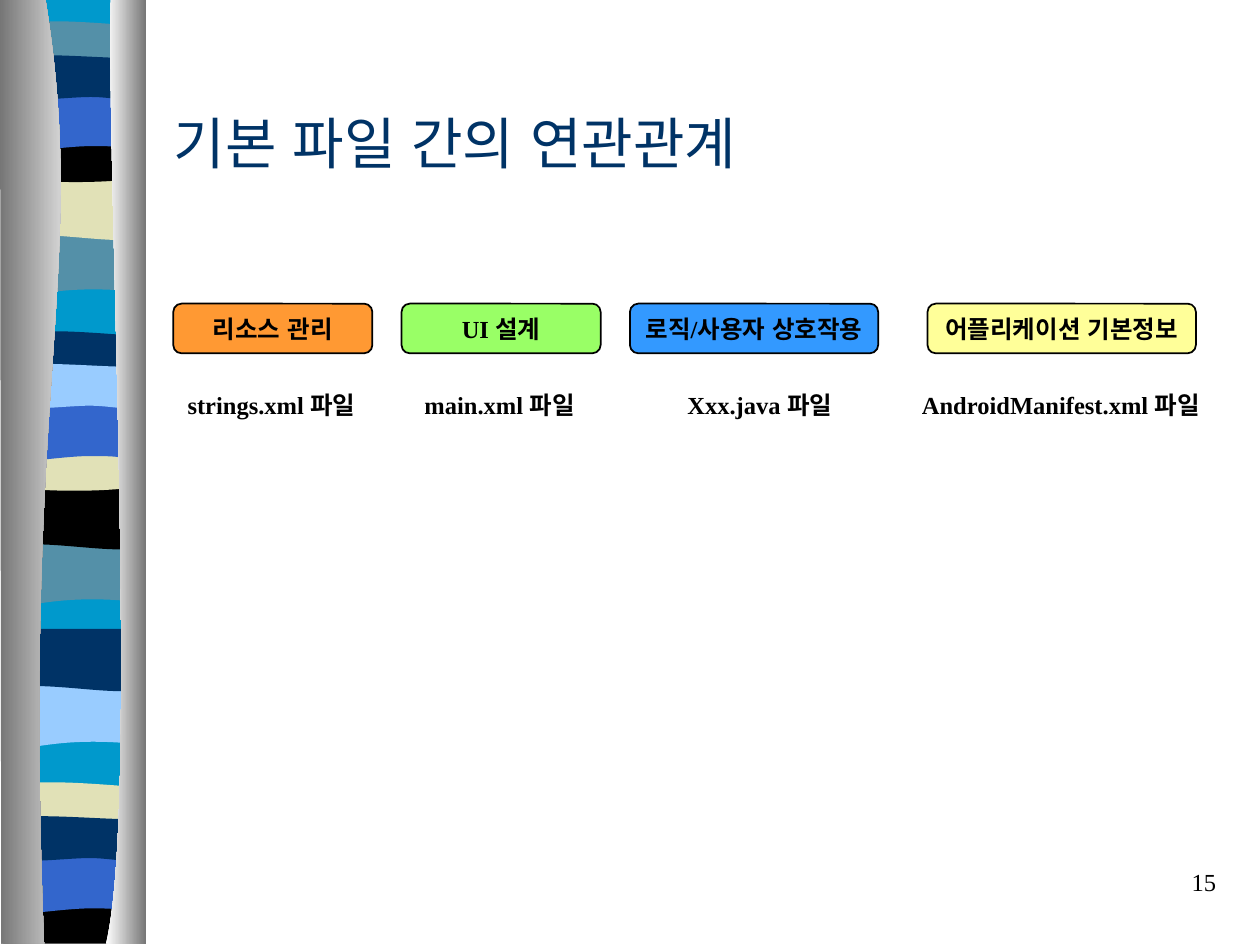
from pptx import Presentation
from pptx import util as u
from pptx.dml.color import RGBColor
from pptx.enum import lang, shapes, text
from pptx.oxml.ns import qn
from lxml import etree

COLUMNS, ROWS = 100, 75
LATIN, KOREAN = "Times New Roman", "Noto Sans CJK KR"
NAVY, TEAL, SKY, BLUE = "003366", "5490A8", "99CCFF", "3366CC"
SAND, BLACK, CYAN, GREY, WHITE = "E1E1B7", "000000", "0099CC", "767676", "FFFFFF"

# Outlines in grid units: a pair is a corner, six numbers are a Bezier curve
WAVES = {
    "sheet": [(10.8, 0), (10.8, 74.8), (0, 74.8), (0, 0)],
    "dip": [(10.8, 0), (10.8, 4.7), (3.3, 3.9, 1.8, 5.5, 0, 4.7), (0, 0)],
    "crest": [(10.8, 0), (10.8, 4.7), (9, 5.5, 3.3, 4.1, 0, 4.7), (0, 0)],
    "thin": [(10.8, 0.5), (10.8, 2.9), (9, 3.3, 1.8, 3.3, 0, 2.9), (0, 0.5),
             (0.6, 0, 2.3, 0.1, 4.1, 0.1), (5.9, 0.1, 9.4, 0.4, 10.8, 0.5)],
    "bowl": [(10.8, 0), (10.8, 3.2), (9, 3.8, 1.8, 3.8, 0, 3.2), (0, 0),
             (6.6, 0.5, 8.5, 0, 10.8, 0)],
    "arch": [(10.8, 0), (10.8, 4.7), (9.1, 4.2, 8.4, 4.2, 6.6, 4.2),
             (4.8, 4.2, 1.6, 4.7, 0, 4.7), (0, 0)],
    "ripple": [(10.8, 0.5), (10.8, 3.6), (10.1, 4.1, 8.4, 3.6, 6.6, 3.6),
               (4.8, 3.6, 1.1, 4.1, 0, 3.6), (0, 0.5),
               (1.5, 0, 7.3, 0.5, 9.1, 0.5), (10.9, 0.5, 10.4, 0.5, 10.8, 0.5)],
    "foot": [(10.8, 0), (10.8, 3.7), (0, 3.7), (0, 0), (6.6, 0.5, 8.5, 0, 10.8, 0)],
}
# Wave, left column, top row, colour, from back to front
BANDS = [
    ("sheet", 0.6, -0.1, CYAN),
    ("dip", 0.6, 18.5, TEAL), ("crest", 0.6, 14.1, SAND), ("thin", 0.6, 1.6, TEAL),
    ("bowl", 0.6, 10.8, BLACK), ("arch", 0.6, 7.4, BLUE), ("ripple", 0.6, 4.1, NAVY),
    ("dip", 0.5, 43.1, TEAL), ("crest", 0.5, 38.65, BLACK), ("thin", 0.5, 26.2, NAVY),
    ("bowl", 0.5, 35.3, SAND), ("arch", 0.5, 32, BLUE), ("ripple", 0.5, 28.6, SKY),
    ("dip", 0.6, 54.4, SKY), ("crest", 0.6, 49.9, NAVY), ("thin", 0.5, 62, SAND),
    ("foot", 0.5, 71.2, BLACK), ("arch", 0.5, 67.9, BLUE), ("ripple", 0.5, 64.5, NAVY),
]
LEFT_EDGE = [(3.6, -0.1), (7.1, 21.6, 1.7, 29.6, 3.5, 74.9), (0.1, 74.9), (0, -0.1)]
RIGHT_EDGE = [(8.8, -0.1), (8.4, 12.5, 11.1, 64.6, 8.4, 74.9), (11.6, 74.9), (11.6, 0)]

# Role, left, width, fill, then file name, left, width
FILES = [
    ("리소스 관리", 13.75, 15.8, "FF9933", "strings.xml 파일", 13.65, 15.8),
    ("UI 설계", 31.87, 15.8, "99FF66", "main.xml 파일", 32.45, 14.4),
    ("로직/사용자 상호작용", 50, 19.7, "3399FF", "Xxx.java 파일", 53.35, 13.9),
    ("어플리케이션 기본정보", 73.62, 21.3, "FFFF99", "AndroidManifest.xml 파일", 71.9, 24.6),
]


def rgb(value):
    return RGBColor.from_string(value)


def write(shape, words, size=14, color=BLACK, font=LATIN, bold=False,
          align=text.PP_ALIGN.CENTER, anchor=text.MSO_ANCHOR.MIDDLE, wrap=False):
    frame = shape.text_frame
    frame.auto_size = text.MSO_AUTO_SIZE.NONE
    frame.word_wrap = wrap
    frame.vertical_anchor = anchor
    paragraph = frame.paragraphs[0]
    paragraph.alignment = align
    paragraph.space_before = u.Pt(0)
    run = paragraph.add_run()
    run.text = words
    run.font.size = u.Pt(size)
    run.font.bold = bold
    run.font.color.rgb = rgb(color)
    run.font.name = font
    run.font.language_id = lang.MSO_LANGUAGE_ID.KOREAN
    run.font._element.set("kern", "0")
    east_asian = etree.SubElement(run.font._element, qn("a:ea"))
    east_asian.set("typeface", KOREAN)


def bend(shape, outline):
    """Join the three line points of each curve into one Bezier segment."""
    lines = iter(shape._element.findall(".//" + qn("a:lnTo")))
    for part in outline[1:]:
        segment = next(lines)
        if len(part) == 6:
            segment.tag = qn("a:cubicBezTo")
            for _ in range(2):
                extra = next(lines)
                segment.append(extra[0])
                extra.getparent().remove(extra)


class SlideBuilder:
    def __init__(self, presentation):
        self.column = presentation.slide_width / COLUMNS
        self.row = presentation.slide_height / ROWS
        self.backdrop = presentation.slide_master.shapes._spTree
        self.slide = presentation.slides.add_slide(presentation.slide_layouts[5])

    def place(self, left, top, width, height):
        return [round(left * self.column), round(top * self.row),
                round(width * self.column), round(height * self.row)]

    def title(self, words, *box):
        shape = self.slide.shapes.title
        shape.left, shape.top, shape.width, shape.height = self.place(*box)
        write(shape, words, size=32, color=NAVY, font=KOREAN,
              align=text.PP_ALIGN.LEFT, wrap=True)

    def backdrop_outline(self, outline, left=0, top=0, color=None, gradient=None):
        points = [((x + left) * self.column, (y + top) * self.row)
                  for part in outline for x, y in zip(part[::2], part[1::2])]
        builder = self.slide.shapes.build_freeform(*points[0])
        builder.add_line_segments(points[1:], close=True)
        shape = builder.convert_to_shape()
        bend(shape, outline)
        shape.shadow.inherit = False
        shape.line.fill.background()
        if gradient:
            shape.fill.gradient()
            shape.fill.gradient_angle = 0
            for stop, value in zip(shape.fill.gradient_stops, gradient):
                stop.color.rgb = rgb(value)
        else:
            shape.fill.solid()
            shape.fill.fore_color.rgb = rgb(color)
        # The decoration belongs to the slide master
        shape._element.nvSpPr.cNvPr.set("id", str(len(self.backdrop) + 10))
        self.backdrop.append(shape._element)

    def badge(self, words, color, *box):
        shape = self.slide.shapes.add_shape(
            shapes.MSO_SHAPE.ROUNDED_RECTANGLE, *self.place(*box))
        shape.shadow.inherit = False
        shape.fill.solid()
        shape.fill.fore_color.rgb = rgb(color)
        shape.line.color.rgb = rgb(BLACK)
        shape.line.width = u.Pt(1)
        write(shape, words, bold=True)

    def label(self, words, *box, **style):
        shape = self.slide.shapes.add_textbox(*self.place(*box))
        write(shape, words, anchor=text.MSO_ANCHOR.TOP, **style)


def main():
    presentation = Presentation()
    presentation.slide_width, presentation.slide_height = u.Inches(10), u.Inches(7.5)
    page = SlideBuilder(presentation)

    # Striped ribbon between two shaded edges
    for wave, left, top, color in BANDS:
        page.backdrop_outline(WAVES[wave], left, top, color)
    page.backdrop_outline(LEFT_EDGE, gradient=(GREY, WHITE))
    page.backdrop_outline(RIGHT_EDGE, gradient=(WHITE, GREY))

    # Page number and title
    page.label("15", 76.7, 68.3, 20.8, 5, align=text.PP_ALIGN.RIGHT, wrap=True)
    page.title("기본 파일 간의 연관관계", 12.8, 5, 85, 12.5)

    # Roles with their files below
    for role, left, width, color, name, name_left, name_width in FILES:
        page.badge(role, color, left, 24.1, width, 3.94)
        page.label(name, name_left, 30.45, name_width, 3.4, bold=True)

    presentation.save("out.pptx")


if __name__ == "__main__":
    main()
